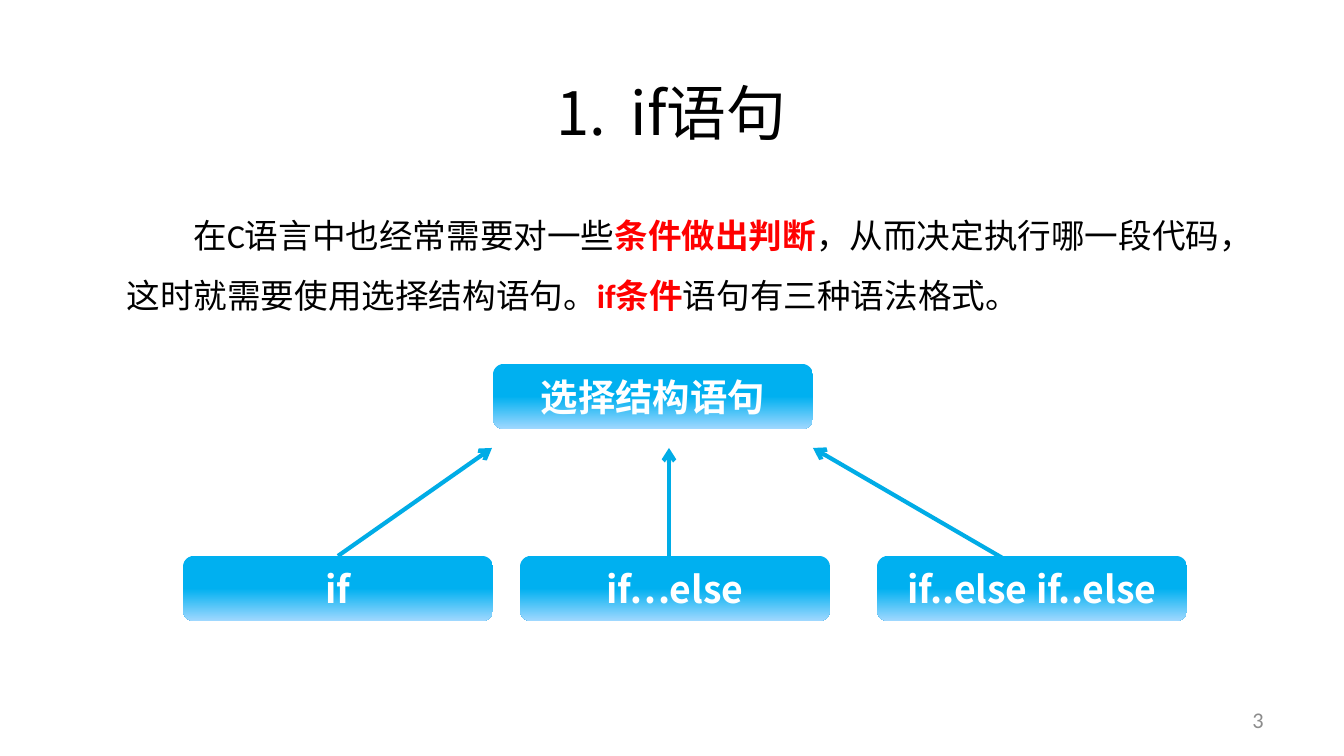
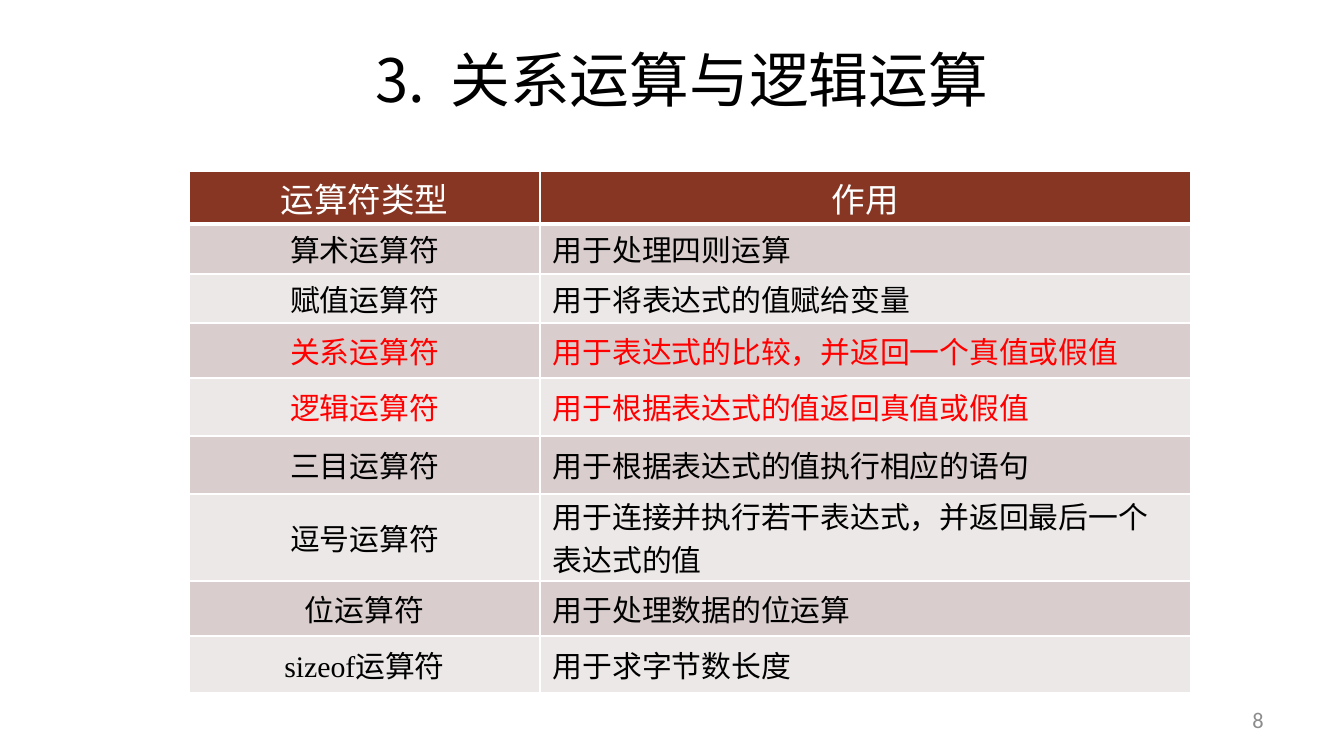
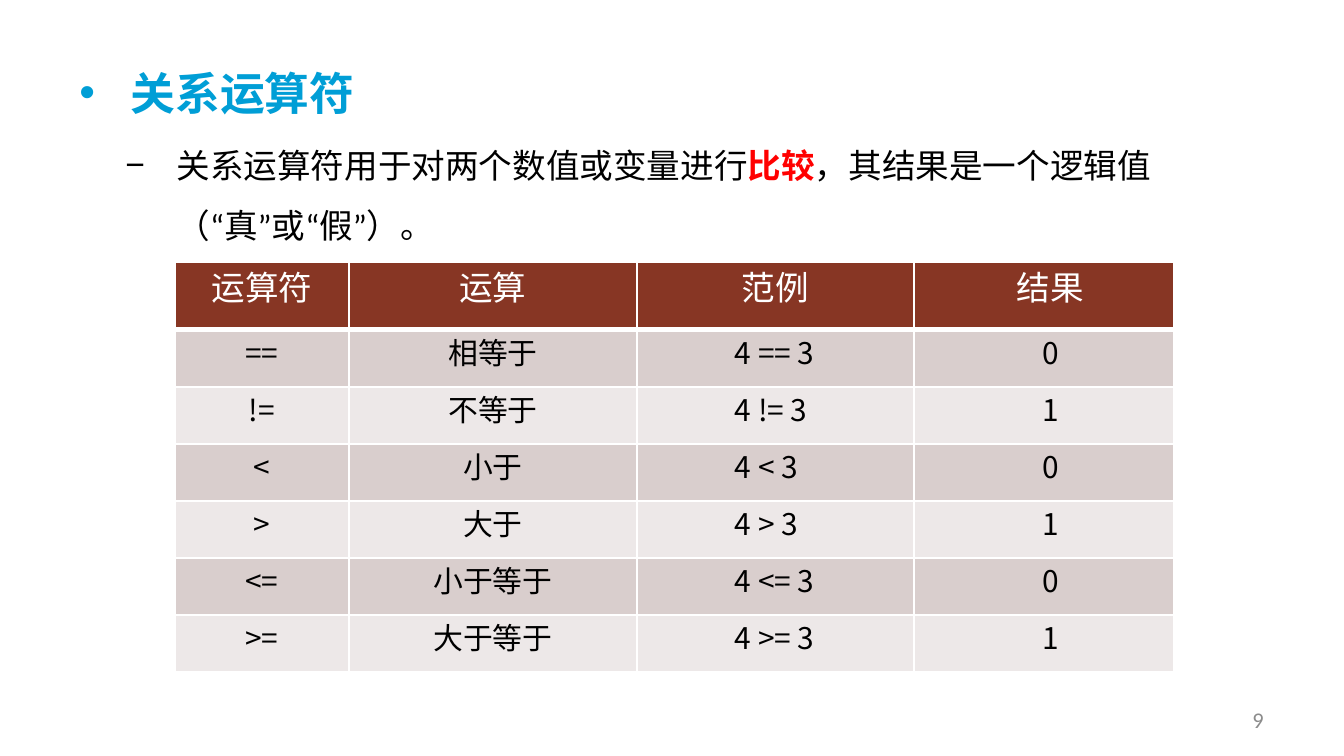
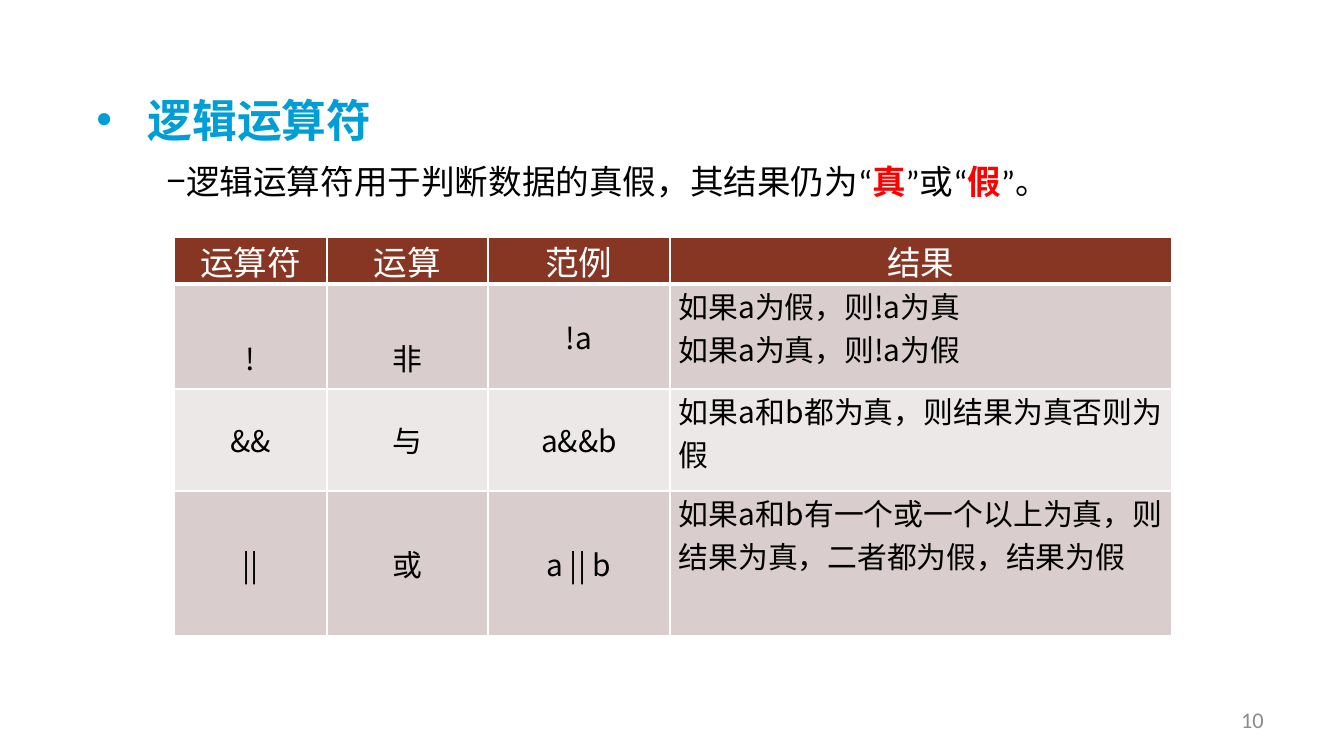
import copy
from dataclasses import dataclass

import lxml.etree
import pptx
import pptx.dml.color
import pptx.enum.shapes
import pptx.enum.text
import pptx.oxml.ns
import pptx.util

EMU_PER_PX = 914400 / 134.4
ALIGN = pptx.enum.text.PP_ALIGN
ANCHOR = pptx.enum.text.MSO_ANCHOR
TITLE_ONLY, TITLE_AND_BODY = 5, 1


@dataclass(frozen=True)
class Theme:
    black: str = "000000"
    white: str = "FFFFFF"
    emphasis: str = "FF0000"
    heading: str = "009ED6"
    arrow: str = "00ACE6"
    page_number: str = "8C8C8C"
    table_header: str = "873624"
    table_bands: tuple = ("D9CECD", "EDE8E8")
    box_gradient: tuple = ((0, "00B0F0"), (0.5, "00B0F0"), (1, "9FD8FF"))
    text_font: str = "Calibri"
    cjk_font: str = "Noto Sans CJK SC"
    serif_font: str = "Times New Roman"
    title_size: int = 32
    heading_size: int = 24
    box_size: int = 20
    body_size: int = 18
    cell_size: int = 16
    page_size: int = 12


THEME = Theme()


def px(length):
    return pptx.util.Emu(round(length * EMU_PER_PX))


def rgb(value):
    return pptx.dml.color.RGBColor.from_string(value)


def add_xml(parent, tag, **attributes):
    return lxml.etree.SubElement(parent, pptx.oxml.ns.qn(tag), **attributes)


def set_bullet(properties, bullet):
    """A number starts a numbered list, a string is the bullet sign."""
    if bullet is None:
        add_xml(properties, "a:buNone")
    elif isinstance(bullet, int):
        add_xml(properties, "a:buFont", typeface="+mj-lt")
        add_xml(properties, "a:buAutoNum", type="arabicPeriod", startAt=str(bullet))
    else:
        add_xml(properties, "a:buFont", typeface="Arial")
        add_xml(properties, "a:buChar", char=bullet)


def write(frame, text, *, size=THEME.body_size, font=THEME.text_font, cjk=None,
          color=THEME.black, bold=False, align=ALIGN.LEFT, line_spacing=1,
          margin=0, indent=0, bullet=None):
    """Each line becomes a paragraph; text between asterisks is emphasised."""
    for number, line in enumerate(text.split("\n")):
        paragraph = frame.add_paragraph() if number else frame.paragraphs[0]
        paragraph.alignment = align
        paragraph.line_spacing = line_spacing
        properties = paragraph._p.get_or_add_pPr()
        properties.set("marL", str(px(margin)))
        properties.set("indent", str(px(indent)))
        set_bullet(properties, bullet)
        for part, words in enumerate(line.split("*")):
            if not words:
                continue
            emphasised = part % 2 == 1
            run = paragraph.add_run()
            run.text = words
            run.font.size = pptx.util.Pt(size)
            run.font.bold = bold or emphasised
            run.font.color.rgb = rgb(THEME.emphasis if emphasised else color)
            run.font.name = font
            add_xml(run._r.get_or_add_rPr(), "a:ea", typeface=cjk or font)


def fill_placeholder(placeholder, box, text, anchor=ANCHOR.TOP, wrap=True, **text_format):
    placeholder.left, placeholder.top, placeholder.width, placeholder.height = map(px, box)
    frame = placeholder.text_frame
    frame.auto_size = pptx.enum.text.MSO_AUTO_SIZE.NONE
    frame.vertical_anchor = anchor
    frame.word_wrap = wrap
    write(frame, text, **text_format)


def add_title(slide, left, top, text, number):
    fill_placeholder(slide.shapes.title, (left, top, 1066, 86), text, ANCHOR.MIDDLE,
                     size=THEME.title_size, font=THEME.cjk_font, align=ALIGN.CENTER,
                     margin=75, indent=-75, bullet=number)


def add_heading(slide, left, top, text):
    fill_placeholder(slide.shapes.title, (left, top, 305, 95), text, wrap=False,
                     size=THEME.heading_size, color=THEME.heading, bold=True,
                     line_spacing=1.5, margin=51, indent=-51, bullet="•")


def add_body(slide, box, text, **text_format):
    fill_placeholder(slide.placeholders[1], box, text, line_spacing=1.5, **text_format)


def add_slide(deck, layout, page):
    slide = deck.slides.add_slide(deck.slide_layouts[layout])
    page_box = slide.shapes.add_textbox(px(964), px(700), px(313), px(40))
    page_box.text_frame.word_wrap = True
    page_box.text_frame.vertical_anchor = ANCHOR.MIDDLE
    write(page_box.text_frame, str(page), size=THEME.page_size,
          color=THEME.page_number, align=ALIGN.RIGHT)
    return slide


def add_statement_box(slide, left, top, width, text):
    box = slide.shapes.add_shape(pptx.enum.shapes.MSO_SHAPE.ROUNDED_RECTANGLE,
                                 px(left), px(top), px(width), px(65))
    box.shadow.inherit = False
    box.line.fill.background()
    box.fill.gradient()
    box.fill.gradient_angle = 270
    stops = box._element.spPr.find(".//" + pptx.oxml.ns.qn("a:gsLst"))
    stops.append(copy.deepcopy(stops[0]))
    for stop, (position, color) in zip(box.fill.gradient_stops, THEME.box_gradient):
        stop.position = position
        stop.color.rgb = rgb(color)
    box.text_frame.word_wrap = True
    box.text_frame.vertical_anchor = ANCHOR.MIDDLE
    write(box.text_frame, text, size=THEME.box_size, font=THEME.cjk_font,
          color=THEME.white, bold=True, align=ALIGN.CENTER)
    return box


def add_arrow(slide, start, end):
    arrow = slide.shapes.add_connector(pptx.enum.shapes.MSO_CONNECTOR.STRAIGHT,
                                       *map(px, start + end))
    arrow.line.color.rgb = rgb(THEME.arrow)
    arrow.line.width = pptx.util.Pt(2.25)
    add_xml(arrow.line._get_or_add_ln(), "a:tailEnd", type="arrow")
    add_xml(arrow._element.spPr, "a:effectLst")
    return arrow


def paint_cell(cell, fill, bottom_width):
    """Border lines come before the fill in the cell's properties."""
    properties = cell._tc.get_or_add_tcPr()
    for side, width in (("L", 1), ("R", 1), ("T", 1), ("B", bottom_width)):
        border = add_xml(properties, f"a:ln{side}", w=str(pptx.util.Pt(width)))
        add_xml(add_xml(border, "a:solidFill"), "a:srgbClr", val=THEME.white)
    cell.fill.solid()
    cell.fill.fore_color.rgb = rgb(fill)


def add_operator_table(slide, left, top, widths, heights, rows, column_formats, *,
                       anchors, header_anchor=ANCHOR.TOP, side_inset=9,
                       font=THEME.cjk_font, exceptions=None):
    """The exceptions map (row, column) to text formats of single cells."""
    table = slide.shapes.add_table(len(rows), len(widths), px(left), px(top),
                                   px(sum(widths)), px(sum(heights))).table
    table.horz_banding = False
    for column, width in zip(table.columns, widths):
        column.width = px(width)
    for row, height in zip(table.rows, heights):
        row.height = px(height)
    for r, texts in enumerate(rows):
        for c, text in enumerate(texts):
            cell = table.cell(r, c)
            cell.margin_left = cell.margin_right = px(side_inset)
            cell.margin_top = cell.margin_bottom = 0
            text_format = dict(font=font, cjk=THEME.cjk_font)
            if r == 0:
                cell.vertical_anchor = header_anchor
                paint_cell(cell, THEME.table_header, 3)
                text_format |= dict(size=THEME.body_size, color=THEME.white,
                                    align=ALIGN.CENTER)
            else:
                cell.vertical_anchor = anchors[c]
                paint_cell(cell, THEME.table_bands[(r - 1) % 2], 1)
                text_format |= dict(size=THEME.cell_size) | column_formats[c]
            text_format |= (exceptions or {}).get((r, c), {})
            write(cell.text_frame, text, **text_format)


def build_if_statement(deck):
    slide = add_slide(deck, TITLE_AND_BODY, 3)
    add_title(slide, 145, 69, "if语句 ", 1)
    add_body(slide, (113, 188, 1125, 129),
             "在C语言中也经常需要对一些*条件做出判断*，从而决定执行哪一段代码，"
             "这时就需要使用选择结构语句。*if条件*语句有三种语法格式。", indent=67)
    add_statement_box(slide, 493, 364, 320, "选择结构语句")
    arrows = [add_arrow(slide, start, end) for start, end in (
        ((338, 556), (492, 448)), ((669, 556), (669, 448)), ((1030, 574), (813, 448)))]
    forms = [add_statement_box(slide, 183 + 347 * i * 1, 556, 310, form) if i != 1
             else add_statement_box(slide, 520, 556, 310, form)
             for i, form in enumerate(("if", "if…else", "if..else if..else"))]
    arrows[0].begin_connect(forms[0], 0)


def build_operator_types(deck):
    slide = add_slide(deck, TITLE_ONLY, 8)
    add_title(slide, 149, 36, "关系运算与逻辑运算", 3)
    rows = [
        ("运算符类型", "作用"),
        ("算术运算符", "用于处理四则运算"),
        ("赋值运算符", "用于将表达式的值赋给变量"),
        ("关系运算符", "用于表达式的比较，并返回一个真值或假值"),
        ("逻辑运算符", "用于根据表达式的值返回真值或假值"),
        ("三目运算符", "用于根据表达式的值执行相应的语句"),
        ("逗号运算符", "用于连接并执行若干表达式，并返回最后一个表达式的值"),
        ("位运算符", "用于处理数据的位运算"),
        ("sizeof运算符", "用于求字节数长度"),
    ]
    highlighted = {(r, c): dict(color=THEME.emphasis) for r in (3, 4) for c in (0, 1)}
    add_operator_table(slide, 189, 171, (351, 651), (53, 50, 49, 55, 58, 58, 87, 55, 57),
                       rows, (dict(align=ALIGN.CENTER), {}),
                       anchors=(ANCHOR.MIDDLE,) * 2, header_anchor=ANCHOR.MIDDLE,
                       side_inset=13, font=THEME.serif_font, exceptions=highlighted)


def build_relational_operators(deck):
    slide = add_slide(deck, TITLE_AND_BODY, 9)
    add_heading(slide, 66, 32, "关系运算符")
    add_body(slide, (112, 118, 1077, 140),
             "关系运算符用于对两个数值或变量进行*比较*，其结果是一个逻辑值（“真”或“假”）。",
             margin=51, indent=-51, bullet="−")
    operators = (("==", "相等于", 0), ("!=", "不等于", 1), ("<", "小于", 0),
                 (">", "大于", 1), ("<=", "小于等于", 0), (">=", "大于等于", 1))
    rows = [("运算符", "运算", "范例", "结果")]
    rows += [(sign, name, f"4 {sign} 3", str(result)) for sign, name, result in operators]
    centred = dict(align=ALIGN.CENTER)
    add_operator_table(slide, 175, 262, (174, 288, 277, 260), (68,) + (57,) * 6, rows,
                       (centred, centred, dict(align=ALIGN.JUSTIFY, indent=89),
                        dict(align=ALIGN.CENTER, indent=13)),
                       anchors=(ANCHOR.TOP,) * 4, exceptions={(0, 3): dict(indent=13)})


def build_logical_operators(deck):
    slide = add_slide(deck, TITLE_AND_BODY, 10)
    add_heading(slide, 83, 59, "逻辑运算符")
    add_body(slide, (153, 134, 1038, 75),
             "逻辑运算符用于判断数据的真假，其结果仍为“*真*”或“*假*”。", bullet="−")
    rows = [
        ("运算符", "运算", "范例", "结果"),
        ("!", "非", "!a", "如果a为假，则!a为真\n如果a为真，则!a为假"),
        ("&&", "与", "a&&b", "如果a和b都为真，则结果为真否则为假"),
        ("||", "或", "a || b",
         "如果a和b有一个或一个以上为真，则结果为真，二者都为假，结果为假"),
    ]
    double_spaced = dict(line_spacing=2)
    add_operator_table(slide, 174, 237, (153, 161, 182, 502), (47, 105, 102, 145), rows,
                       (dict(align=ALIGN.CENTER),) * 3 + (dict(align=ALIGN.JUSTIFY),),
                       anchors=(ANCHOR.MIDDLE,) * 3 + (ANCHOR.TOP,),
                       exceptions={(1, 0): double_spaced, (1, 1): double_spaced})


def main():
    deck = pptx.Presentation()
    deck.slide_width, deck.slide_height = px(1344), px(756)
    build_if_statement(deck)
    build_operator_types(deck)
    build_relational_operators(deck)
    build_logical_operators(deck)
    deck.save("out.pptx")


if __name__ == "__main__":
    main()
